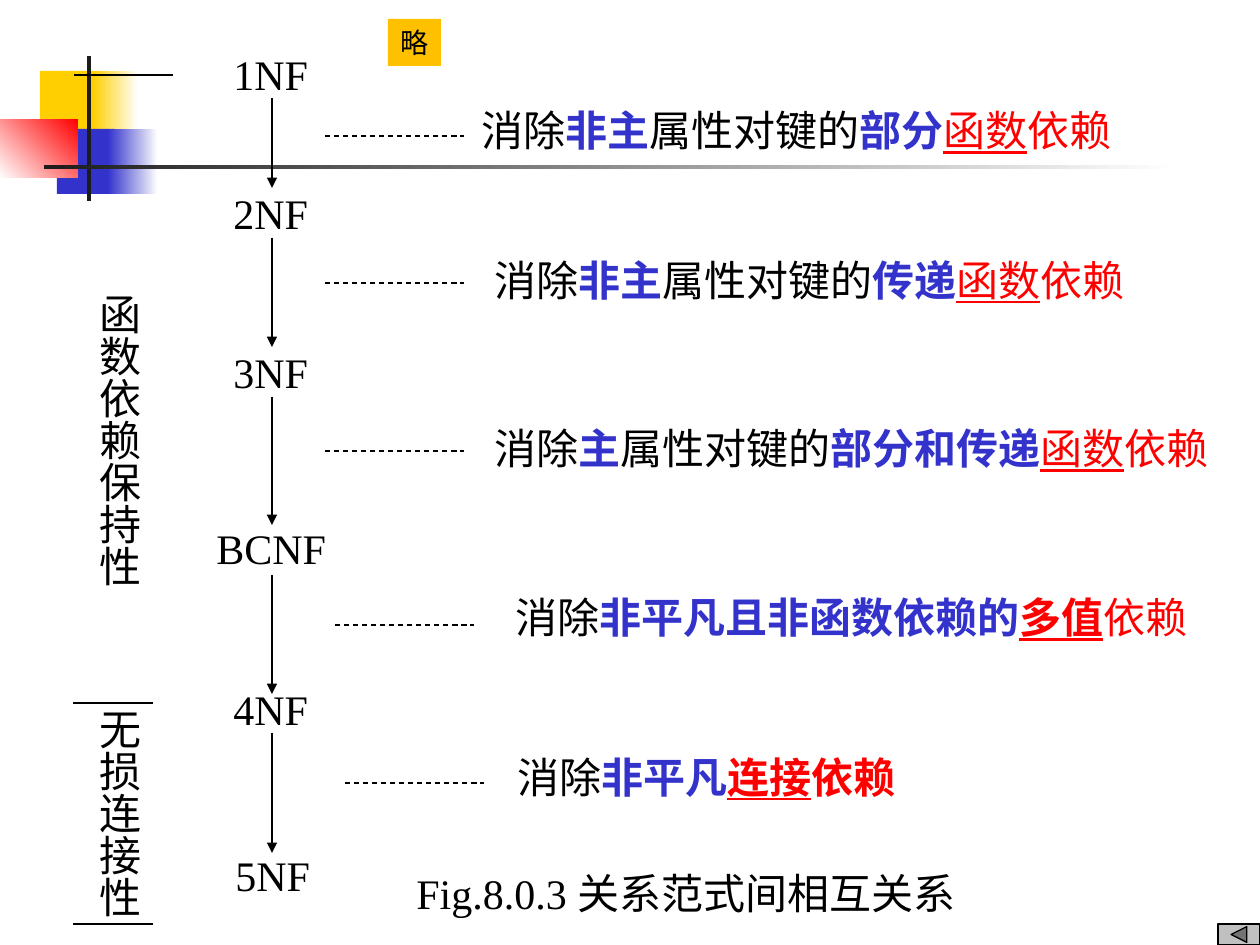
"""Build a slide showing how the relational normal forms relate to each other."""
from lxml.etree import SubElement
from pptx import Presentation
from pptx.dml.color import RGBColor
from pptx.enum.dml import MSO_LINE
from pptx.enum.shapes import MSO_CONNECTOR, MSO_SHAPE
from pptx.oxml.ns import qn
from pptx.util import Emu, Pt

SCALE = 914400 / 126
BLACK = RGBColor(0x00, 0x00, 0x00)
WHITE = RGBColor(0xFF, 0xFF, 0xFF)
BLUE = RGBColor(0x33, 0x33, 0xCC)
RED = RGBColor(0xFF, 0x00, 0x00)
YELLOW = RGBColor(0xFF, 0xCF, 0x01)
AMBER = RGBColor(0xFF, 0xC0, 0x00)
CHARCOAL = RGBColor(0x1C, 0x1C, 0x1C)
SILVER = RGBColor(0xC0, 0xC0, 0xC0)

PLAIN = (BLACK, False, False)
KEY = (BLUE, True, False)
TERM = (RED, False, False)
TERM_LINK = (RED, False, True)
STRONG_TERM = (RED, True, False)
STRONG_LINK = (RED, True, True)

presentation = Presentation()
presentation.slide_width = Emu(round(1260 * SCALE))
presentation.slide_height = Emu(round(945 * SCALE))
slide = presentation.slides.add_slide(presentation.slide_layouts[6])


def add_text(box, runs, font_name="Times New Roman", size=24):
    left, top, width, height = [Emu(round(length * SCALE)) for length in box]
    shape = slide.shapes.add_textbox(left, top, width, height)
    shape.text_frame.word_wrap = False
    paragraph = shape.text_frame.paragraphs[0]
    for text, (color, bold, underline) in runs:
        run = paragraph.add_run()
        run.text = text
        run.font.name = font_name
        run.font.size = Pt(size)
        run.font.color.rgb = color
        run.font.bold = bold
        run.font.underline = underline
    return shape


def add_line(*ends):
    connector = slide.shapes.add_connector(
        MSO_CONNECTOR.STRAIGHT, *[Emu(round(end * SCALE)) for end in ends])
    connector.line.color.rgb = BLACK
    connector.line.width = Pt(0.75)
    SubElement(connector._element.spPr, qn("a:effectLst"))
    return connector


decorations = [
    ((40, 71, 60, 65), YELLOW, None, 0),
    ((93, 71, 45, 65), YELLOW, WHITE, 0),
    ((57, 129, 58, 65), BLUE, None, 0),
    ((108, 129, 50, 65), BLUE, WHITE, 0),
    ((0, 119, 78, 59), WHITE, RED, 45),
    ((87, 56, 4, 145), CHARCOAL, None, 0),
    ((44, 165, 1134, 4), CHARCOAL, WHITE, 0),
]
for box, start_color, end_color, angle in decorations:
    shape = slide.shapes.add_shape(
        MSO_SHAPE.RECTANGLE, *[Emu(round(length * SCALE)) for length in box])
    shape.shadow.inherit = False
    shape.line.fill.background()
    if end_color is None:
        shape.fill.solid()
        shape.fill.fore_color.rgb = start_color
        continue
    shape.fill.gradient()
    shape.fill.gradient_angle = angle
    for stop, color, position in zip(
            shape.fill.gradient_stops, (start_color, end_color), (0, 1)):
        stop.color.rgb = color
        stop.position = position

normal_forms = [
    ("1NF", 221, 42, 100),
    ("2NF", 221, 181, 100),
    ("3NF", 221, 340, 100),
    ("BCNF", 204, 516, 135),
    ("4NF", 221, 677, 100),
    ("5NF", 223, 843, 100),
]
for name, left, top, width in normal_forms:
    add_text((left, top, width, 63), [(name, PLAIN)])

for start, end in [(98, 188), (238, 347), (397, 525), (575, 694), (733, 853)]:
    arrow = add_line(272, start, 272, end)
    SubElement(arrow.line._get_or_add_ln(), qn("a:tailEnd"), type="triangle")

steps = [
    (325, 136, (469, 98, 655),
     [("消除", PLAIN), ("非主", KEY), ("属性对键的", PLAIN), ("部分", KEY),
      ("函数", TERM_LINK), ("依赖", TERM)]),
    (325, 283, (482, 248, 655),
     [("消除", PLAIN), ("非主", KEY), ("属性对键的", PLAIN), ("传递", KEY),
      ("函数", TERM_LINK), ("依赖", TERM)]),
    (325, 451, (482, 416, 738),
     [("消除", PLAIN), ("主", KEY), ("属性对键的", PLAIN), ("部分和传递", KEY),
      ("函数", TERM_LINK), ("依赖", TERM)]),
    (335, 625, (503, 585, 697),
     [("消除", PLAIN), ("非平凡且非函数依赖的", KEY), ("多值", STRONG_LINK),
      ("依赖", TERM)]),
    (345, 783, (505, 745, 403),
     [("消除", PLAIN), ("非平凡", KEY), ("连接", STRONG_LINK),
      ("依赖", STRONG_TERM)]),
]
for line_left, line_top, (left, top, width), runs in steps:
    dashed_line = add_line(line_left, line_top, line_left + 139, line_top)
    dashed_line.line.dash_style = MSO_LINE.DASH
    step_label = add_text((left, top, width, 63), runs)
    step_label.text_frame.word_wrap = True
    step_label.text_frame.margin_right = 0

for left, right, top in [(74, 173, 75), (73, 153, 703), (73, 153, 924)]:
    add_line(left, top, right, top)

for text, top in [("函数依赖保持性", 294), ("无损连接性", 709)]:
    property_label = add_text((74, top, 70, 42 * len(text) + 6), [(text, PLAIN)])
    frame = property_label.text_frame
    frame.word_wrap = True
    frame.margin_left = frame.margin_right = 0
    frame.margin_top = frame.margin_bottom = 0
    frame._txBody.bodyPr.set("vert", "eaVert")

add_text((404, 861, 575, 63), [("Fig.8.0.3 关系范式间相互关系", PLAIN)])

back_button = slide.shapes.add_shape(
    MSO_SHAPE.ACTION_BUTTON_BACK_OR_PREVIOUS,
    *[Emu(round(length * SCALE)) for length in (1218, 924, 42, 21)])
back_button.shadow.inherit = False
back_button.fill.solid()
back_button.fill.fore_color.rgb = SILVER
back_button.line.color.rgb = BLACK
back_button.line.width = Pt(0.75)

skip_label = add_text((388, 19, 53, 47), [("略", PLAIN)], "Karla", 16)
skip_label.fill.solid()
skip_label.fill.fore_color.rgb = AMBER

presentation.save("out.pptx")
